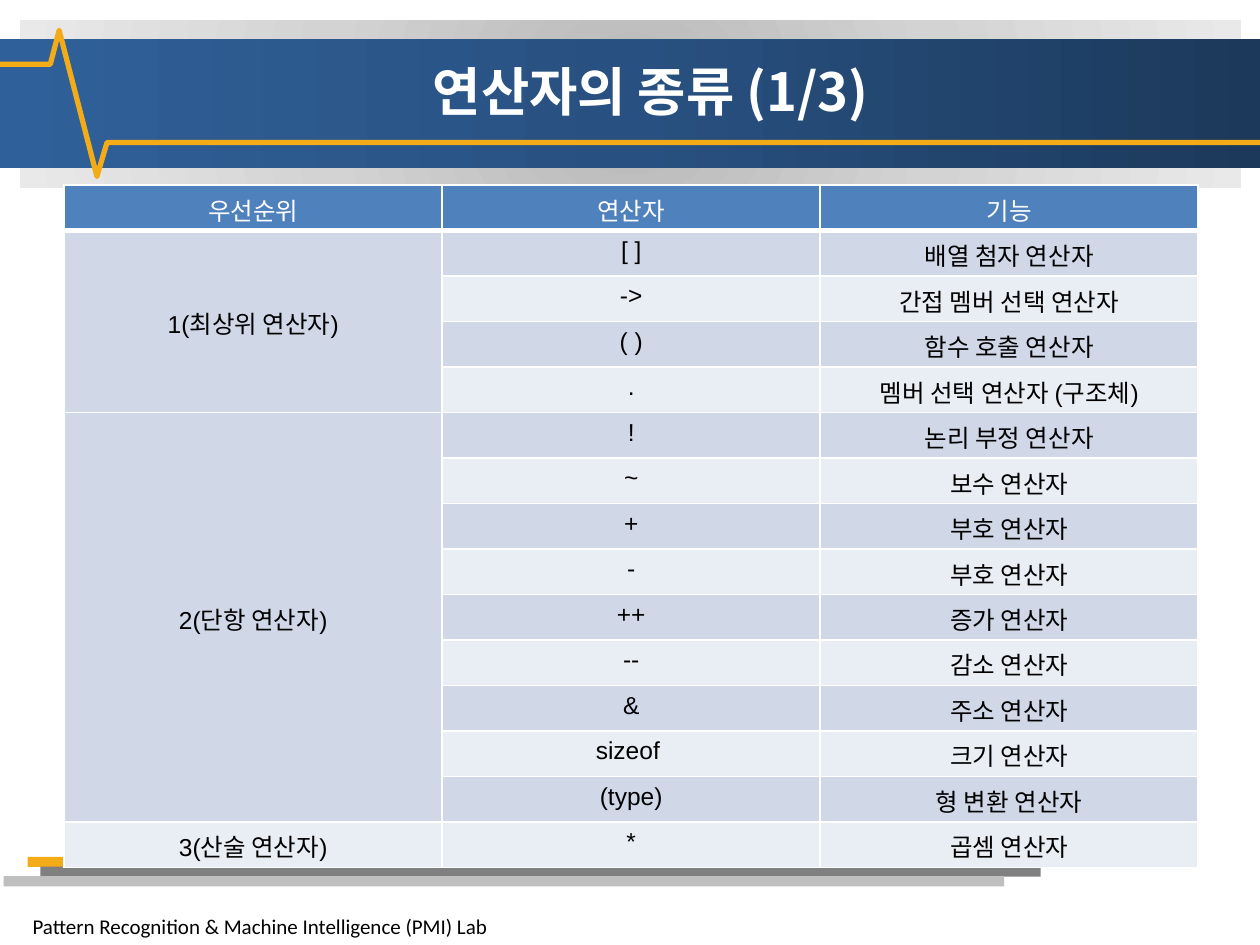
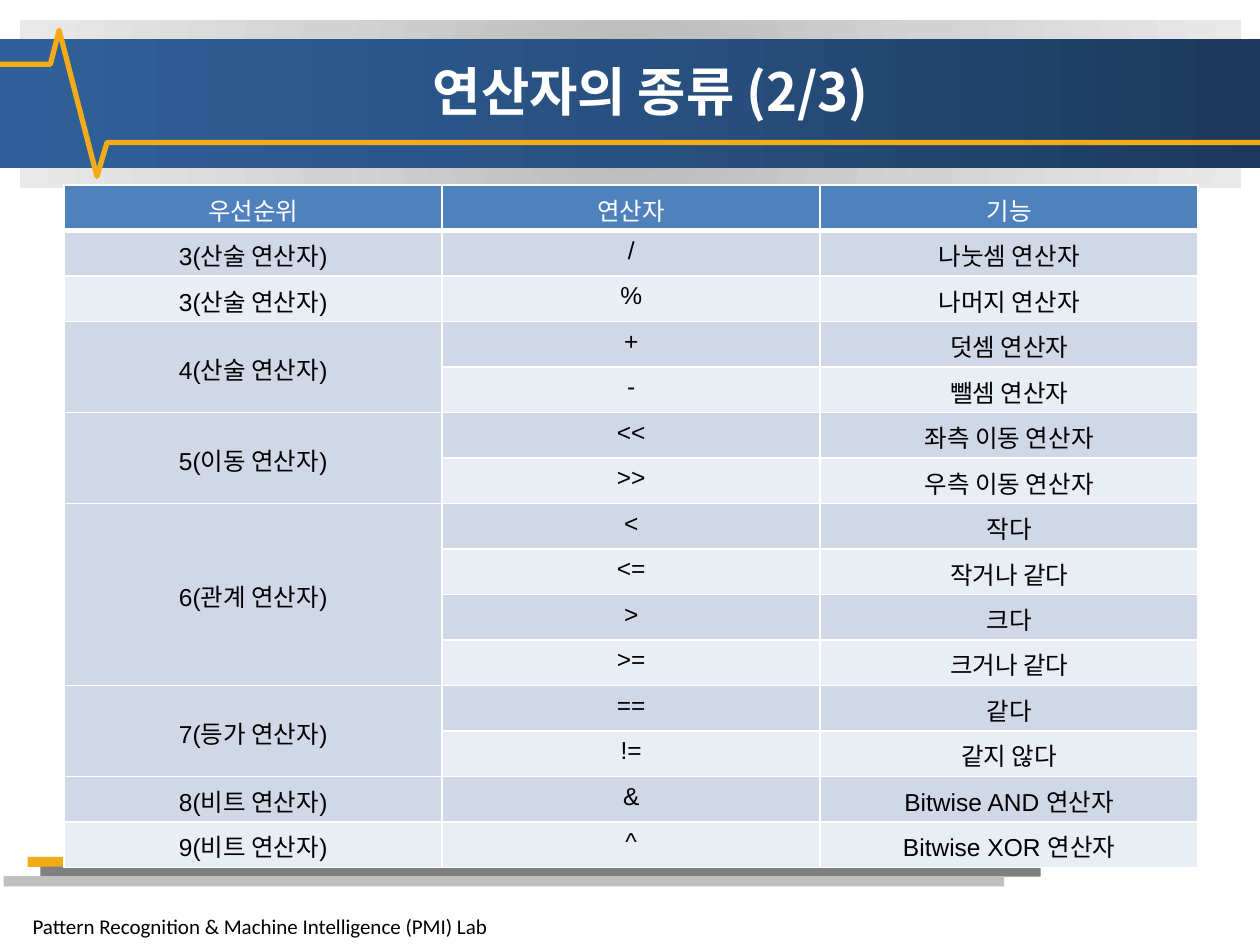
from dataclasses import dataclass

from lxml import etree
from pptx import Presentation
from pptx import util as u
from pptx.dml.color import RGBColor
from pptx.enum import shapes, text
from pptx.oxml.ns import qn

COLORS = {
    "white": "FFFFFF", "black": "000000", "amber": "F4AB18",
    "gray": "808080", "silver": "BFBFBF",
    "header": "4F81BD", "odd": "D0D8E8", "even": "E9EDF4",
}
BAND_STOPS = ["1C395B", "285181", "306099"]
SHADE_STOPS = ["B8B8B8", "D3D3D3", "E9E9E9"]
WIDTH, HEIGHT = u.Inches(10), u.Inches(7.5)
FOOTER = "Pattern Recognition & Machine Intelligence (PMI) Lab"
HEADINGS = ["우선순위", "연산자", "기능"]


def px(share: float) -> int:
    """Percent of the slide width."""
    return round(WIDTH * share / 100)


def py(share: float) -> int:
    """Percent of the slide height."""
    return round(HEIGHT * share / 100)


@dataclass(frozen=True)
class Box:
    left: float
    top: float
    width: float
    height: float

    def place(self) -> tuple[int, int, int, int]:
        return px(self.left), py(self.top), px(self.width), py(self.height)


@dataclass(frozen=True)
class Priority:
    label: str
    operators: list[tuple[str, str]]


@dataclass(frozen=True)
class OperatorSlide:
    title: str
    priorities: list[Priority]


SHADE = Box(1.6, 2.13, 96.9, 17.73)
BAND = Box(0, 4.13, 100, 13.6)
TITLE = Box(8, 4.93, 87.3, 9.33)
TABLE = Box(5.1, 19.6, 90, 72.27)
FOOTER_BOX = Box(1.6, 96, 82.8, 4)
PULSE = [(0, 6.8), (4, 6.8), (4.7, 3.2), (7.7, 18.67), (8.5, 15.07), (100, 15.07)]
BARS = [(2.2, "amber"), (3.2, "gray"), (0.3, "silver")]
BAR_TOP, BAR_STEP, BAR_WIDTH, BAR_HEIGHT = 90.67, 1.03, 79.4, 1.07

SLIDES = [
    OperatorSlide("연산자의 종류 (1/3)", [
        Priority("1(최상위 연산자)", [
            ("[ ]", "배열 첨자 연산자"), ("->", "간접 멤버 선택 연산자"),
            ("( )", "함수 호출 연산자"), (".", "멤버 선택 연산자 (구조체)")]),
        Priority("2(단항 연산자)", [
            ("!", "논리 부정 연산자"), ("~", "보수 연산자"), ("+", "부호 연산자"),
            ("-", "부호 연산자"), ("++", "증가 연산자"), ("--", "감소 연산자"),
            ("&", "주소 연산자"), ("sizeof ", "크기 연산자"),
            ("(type)", "형 변환 연산자")]),
        Priority("3(산술 연산자)", [("*", "곱셈 연산자")]),
    ]),
    OperatorSlide("연산자의 종류 (2/3)", [
        Priority("3(산술 연산자)", [("/", "나눗셈 연산자")]),
        Priority("3(산술 연산자)", [("%", "나머지 연산자")]),
        Priority("4(산술 연산자)", [("+", "덧셈 연산자"), ("-", "뺄셈 연산자")]),
        Priority("5(이동 연산자)", [("<<", "좌측 이동 연산자"),
                               (">>", "우측 이동 연산자")]),
        Priority("6(관계 연산자)", [("<", "작다"), ("<=", "작거나 같다"),
                               (">", "크다"), (">=", "크거나 같다")]),
        Priority("7(등가 연산자)", [("==", "같다"), ("!=", "같지 않다")]),
        Priority("8(비트 연산자)", [("&", "Bitwise AND 연산자")]),
        Priority("9(비트 연산자)", [("^", "Bitwise XOR 연산자")]),
    ]),
]


def rgb(name: str) -> RGBColor:
    return RGBColor.from_string(COLORS[name])


def write(tf, words: str, *, size: float, font: str, color: str = "black",
          bold: bool = False, align=text.PP_ALIGN.CENTER, east: str = "") -> None:
    p = tf.paragraphs[0]
    p.alignment = align
    r = p.add_run()
    r.text = words
    r.font.size, r.font.name, r.font.bold = u.Pt(size), font, bold
    r.font.color.rgb = rgb(color)
    if east:
        etree.SubElement(r.font._element, qn("a:ea"), typeface=east)


def add_rect(parent, box: Box, color: str = ""):
    sp = parent.add_shape(shapes.MSO_SHAPE.RECTANGLE, *box.place())
    sp.shadow.inherit = False
    sp.line.fill.background()
    if color:
        sp.fill.solid()
        sp.fill.fore_color.rgb = rgb(color)
    return sp


def set_gradient(sp, stops: list[str], angle: int | None = None) -> None:
    """Evenly spaced stops: linear at an angle, or circular from the centre."""
    sp.fill.gradient()
    grad = sp._element.spPr.find(qn("a:gradFill"))
    for child in list(grad):
        grad.remove(child)
    stop_list = etree.SubElement(grad, qn("a:gsLst"))
    for i, color in enumerate(stops):
        stop = etree.SubElement(stop_list, qn("a:gs"), pos=str(i * 50000))
        etree.SubElement(stop, qn("a:srgbClr"), val=color)
    if angle is not None:
        etree.SubElement(grad, qn("a:lin"), ang=str(angle * 60000), scaled="0")
    else:
        ring = etree.SubElement(grad, qn("a:path"), path="circle")
        etree.SubElement(ring, qn("a:fillToRect"),
                         dict.fromkeys("ltrb", "50000"))


def add_frame(s) -> None:
    """Footer, header band and pulse line found on every slide."""
    tf = s.shapes.add_textbox(*FOOTER_BOX.place()).text_frame
    tf.word_wrap = True
    tf.auto_size = text.MSO_AUTO_SIZE.SHAPE_TO_FIT_TEXT
    write(tf, FOOTER, size=12, font="Calibri", align=text.PP_ALIGN.LEFT)

    bars = s.shapes.add_group_shape()
    for i, (left, color) in enumerate(BARS):
        box = Box(left, BAR_TOP + i * BAR_STEP, BAR_WIDTH, BAR_HEIGHT)
        add_rect(bars.shapes, box, color)

    set_gradient(add_rect(s.shapes, SHADE), SHADE_STOPS)
    set_gradient(add_rect(s.shapes, BAND), BAND_STOPS, angle=180)

    points = [(px(x), py(y)) for x, y in PULSE]
    builder = s.shapes.build_freeform(*points[0])
    builder.add_line_segments(points[1:], close=False)
    pulse = builder.convert_to_shape()
    pulse.shadow.inherit = False
    pulse.fill.background()
    pulse.line.color.rgb = rgb("amber")
    pulse.line.width = u.Pt(3)


def set_borders(cell, bottom: float) -> None:
    tc_pr = cell._tc.get_or_add_tcPr()
    widths = {"lnL": 1, "lnR": 1, "lnT": 1, "lnB": bottom}
    for i, (side, width) in enumerate(widths.items()):
        ln = etree.Element(qn(f"a:{side}"), w=str(u.Pt(width)))
        fill = etree.SubElement(ln, qn("a:solidFill"))
        etree.SubElement(fill, qn("a:srgbClr"), val=COLORS["white"])
        tc_pr.insert(i, ln)


def add_operator_table(s, priorities: list[Priority]) -> None:
    rows = [HEADINGS]
    spans = []
    for priority in priorities:
        spans.append((len(rows), len(priority.operators)))
        for i, (operator, use) in enumerate(priority.operators):
            rows.append(["" if i else priority.label, operator, use])

    table = s.shapes.add_table(len(rows), len(HEADINGS), *TABLE.place()).table
    for row, values in enumerate(rows):
        table.rows[row].height = py(TABLE.height / len(rows))
        band = "header" if row == 0 else "odd" if row % 2 else "even"
        for col, value in enumerate(values):
            cell = table.cell(row, col)
            cell.margin_bottom = u.Inches(0.03)
            cell.fill.solid()
            cell.fill.fore_color.rgb = rgb(band)
            set_borders(cell, bottom=1 if row else 3)
            if row and col == 0:
                cell.vertical_anchor = text.MSO_ANCHOR.MIDDLE
            if value:
                write(cell.text_frame, value, size=14, font="Arial",
                      color="black" if row else "white")
    for first, count in spans:
        if count > 1:
            table.cell(first, 0).merge(table.cell(first + count - 1, 0))


def set_title(s, words: str) -> None:
    sp = s.shapes.title
    sp.left, sp.top, sp.width, sp.height = TITLE.place()
    tf = sp.text_frame
    tf.word_wrap = True
    tf.auto_size = text.MSO_AUTO_SIZE.NONE
    tf.vertical_anchor = text.MSO_ANCHOR.MIDDLE
    write(tf, words, size=30, font="Noto Sans CJK KR", east="Noto Sans CJK KR",
          color="white", bold=True)
    s.shapes._spTree.append(sp._element)  # in front of the band


def main() -> None:
    prs = Presentation()
    prs.slide_width, prs.slide_height = WIDTH, HEIGHT
    for content in SLIDES:
        s = prs.slides.add_slide(prs.slide_layouts[0])
        subtitle = s.placeholders[1]._element
        subtitle.getparent().remove(subtitle)
        add_frame(s)
        add_operator_table(s, content.priorities)
        set_title(s, content.title)
    prs.save("out.pptx")


if __name__ == "__main__":
    main()
